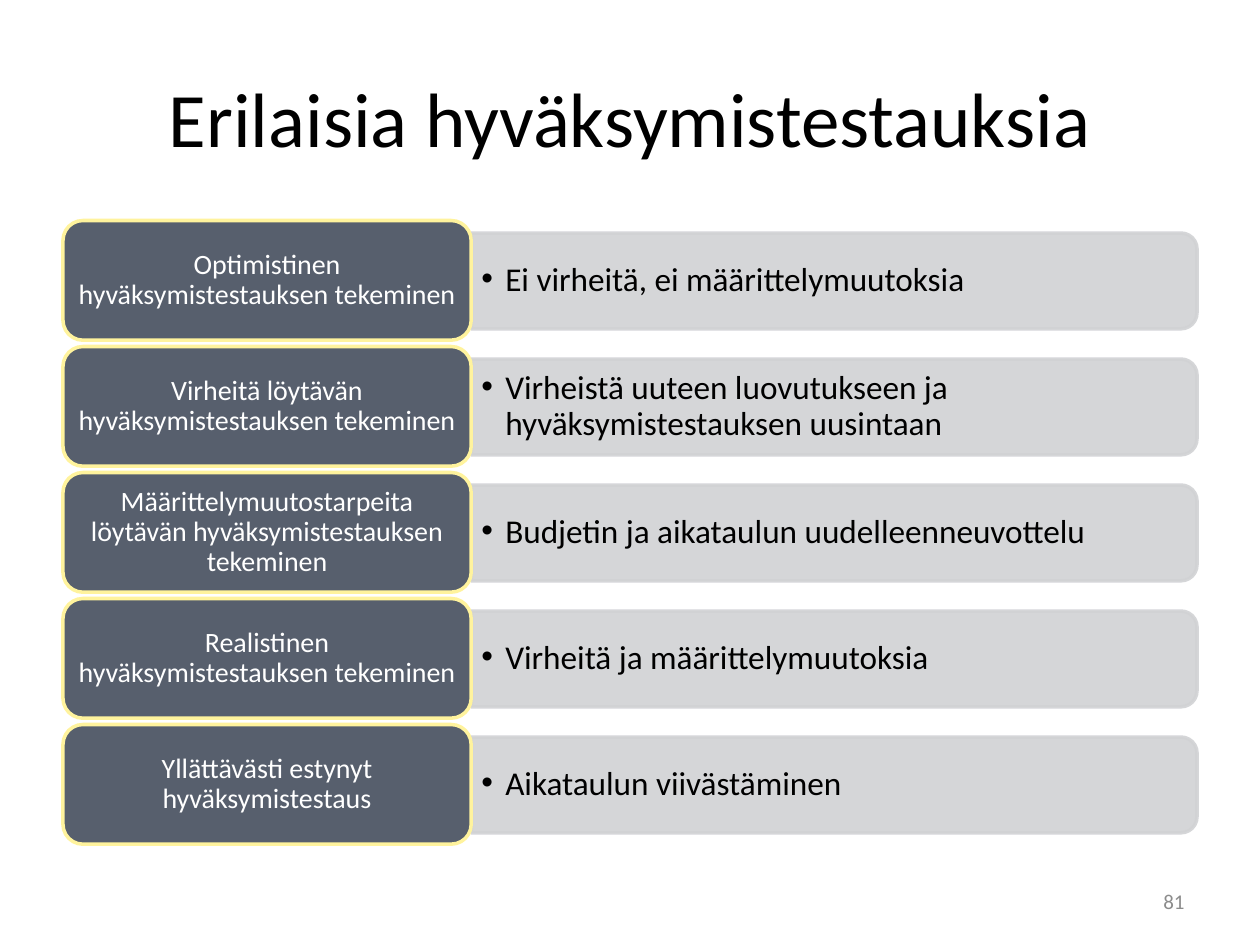
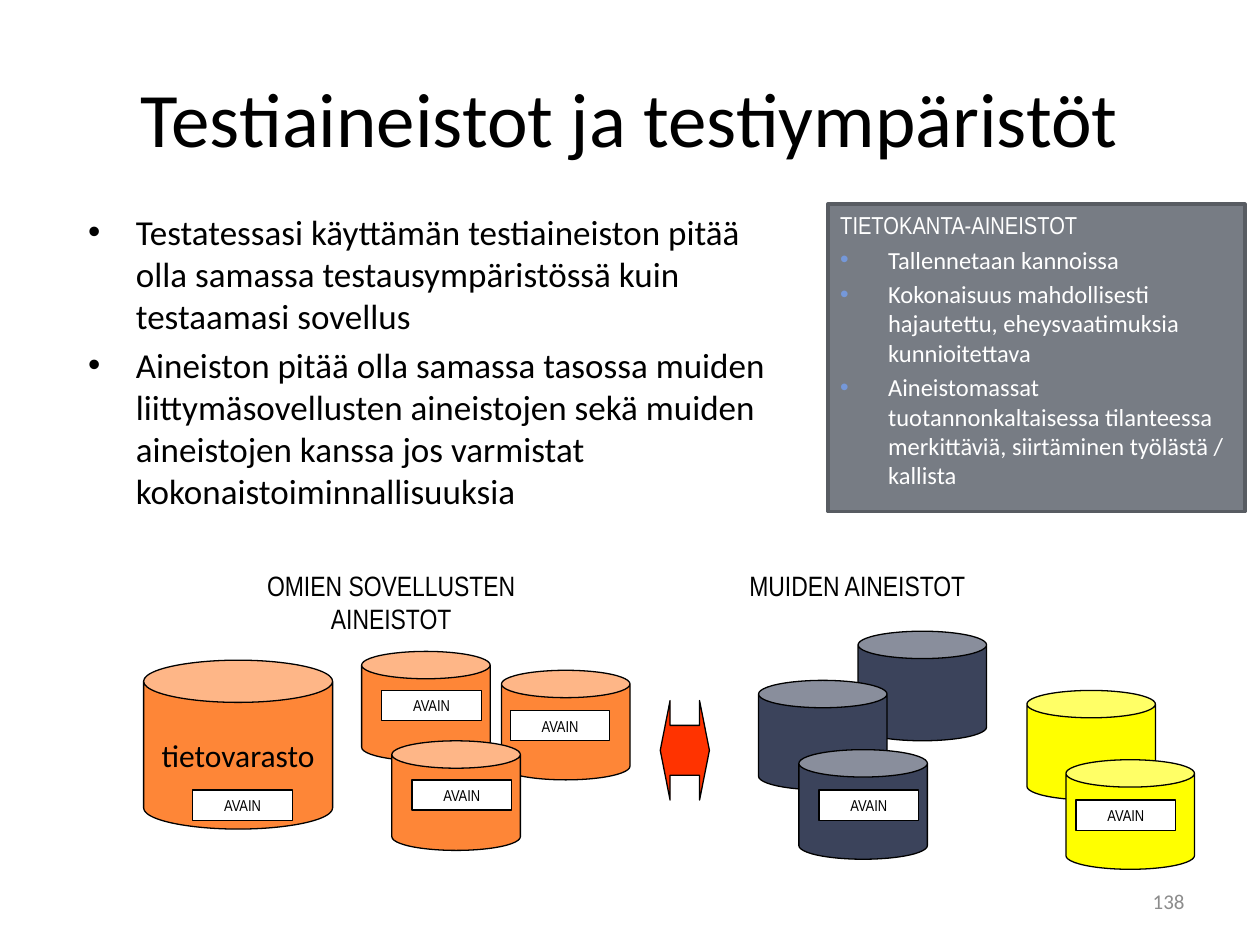
import pptx
import pptx.util
import pptx.dml.color
import pptx.enum.shapes
import pptx.enum.text
import pptx.oxml
import pptx.oxml.ns
import lxml.etree

PX = 9144
RGB = pptx.dml.color.RGBColor
BLACK = RGB(0x00, 0x00, 0x00)
WHITE = RGB(0xFF, 0xFF, 0xFF)
GREY = RGB(0x8C, 0x8C, 0x8C)
BAR = RGB(0xD1, 0xD2, 0xD4)
SLATE = RGB(0x57, 0x5F, 0x6D)
CREAM = RGB(0xFF, 0xF3, 0x9D)
NAVY = RGB(0x3B, 0x43, 0x5B)
ORANGE = RGB(0xFE, 0x86, 0x37)
YELLOW = RGB(0xFF, 0xFF, 0x00)
RED = RGB(0xFF, 0x33, 0x00)
PANEL = RGB(0x77, 0x7C, 0x84)
PANEL_EDGE = RGB(0x58, 0x5C, 0x62)
BLUE = RGB(0x75, 0x98, 0xD9)
SHAPE = pptx.enum.shapes.MSO_SHAPE
LEFT = pptx.enum.text.PP_ALIGN.LEFT
CENTER = pptx.enum.text.PP_ALIGN.CENTER
RIGHT = pptx.enum.text.PP_ALIGN.RIGHT
TOP = pptx.enum.text.MSO_ANCHOR.TOP
MIDDLE = pptx.enum.text.MSO_ANCHOR.MIDDLE
NARROW = "Arial Narrow"


def box(s, at, kind=None, fill=None, line=None, width=0.75, anchor=MIDDLE, wrap=True, inset=(10, 5)):
    at = [v * PX for v in at]
    if kind is None:
        sp = s.shapes.add_textbox(*at)
    else:
        sp = s.shapes.add_shape(kind, *at)
        sp.shadow.inherit = False
        sp.fill.solid()
        sp.fill.fore_color.rgb = fill
        sp.line.color.rgb = line
        sp.line.width = pptx.util.Pt(width)
    tf = sp.text_frame
    tf.word_wrap = wrap
    tf.vertical_anchor = anchor
    tf.margin_left = tf.margin_right = inset[0] * PX
    tf.margin_top = tf.margin_bottom = inset[1] * PX
    return sp


def write(sp, text, size=18, color=BLACK, font="Calibri", align=LEFT, indent=0,
          bullet=None, before=0, spacing=None):
    tf = sp.text_frame
    p = tf.paragraphs[0]
    if p.runs:
        p = tf.add_paragraph()
        p.space_before = pptx.util.Pt(before)
    p.alignment = align
    if spacing:
        p.line_spacing = spacing
    pPr = p._p.get_or_add_pPr()
    if indent:
        pPr.set("marL", str(indent * PX))
        pPr.set("indent", str(-indent * PX))
    if bullet:
        clr = pptx.oxml.ns.qn("a:buClr")
        buClr = lxml.etree.SubElement(pPr, clr)
        lxml.etree.SubElement(buClr, pptx.oxml.ns.qn("a:srgbClr"), val=str(bullet))
        lxml.etree.SubElement(pPr, pptx.oxml.ns.qn("a:buFont"), typeface="Arial")
        lxml.etree.SubElement(pPr, pptx.oxml.ns.qn("a:buChar"), char="•")
    r = p.add_run()
    r.text = text
    r.font.size = pptx.util.Pt(size)
    r.font.name = font
    r.font.color.rgb = color


prs = pptx.Presentation()
prs.slide_width = 1000 * PX
prs.slide_height = 750 * PX

slides = []
for title, number in [("Erilaisia hyväksymistestauksia", "81"),
                      ("Testiaineistot ja testiympäristöt", "138")]:
    s = prs.slides.add_slide(prs.slide_layouts[6])
    write(box(s, (50, 30, 900, 125)), title, size=44, align=CENTER)
    write(box(s, (717, 695, 233, 40)), number, size=12, color=GREY, align=RIGHT)
    slides.append(s)

s = slides[0]
tests = [
    ("Optimistinen hyväksymistestauksen tekeminen", "Ei virheitä, ei määrittelymuutoksia"),
    ("Virheitä löytävän hyväksymistestauksen tekeminen",
     "Virheistä uuteen luovutukseen ja hyväksymistestauksen uusintaan"),
    ("Määrittelymuutostarpeita löytävän hyväksymistestauksen tekeminen",
     "Budjetin ja aikataulun uudelleenneuvottelu"),
    ("Realistinen hyväksymistestauksen tekeminen", "Virheitä ja määrittelymuutoksia"),
    ("Yllättävästi estynyt hyväksymistestaus", "Aikataulun viivästäminen"),
]
for i, (test, outcome) in enumerate(tests):
    y = 175 + 100 * i
    bar = box(s, (624, y - 240, 76, 576), SHAPE.ROUND_2_SAME_RECTANGLE, BAR, BAR, 2)
    bar.rotation = 90
    for clr in bar._element.spPr.iter(pptx.oxml.ns.qn("a:srgbClr")):
        lxml.etree.SubElement(clr, pptx.oxml.ns.qn("a:alpha"), val="90000")
    write(box(s, (374, y + 13, 572, 69), inset=(8, 4)), outcome,
          size=19, indent=19, bullet=BLACK, spacing=0.9)
    label = box(s, (50, y, 324, 95), SHAPE.ROUNDED_RECTANGLE, SLATE, CREAM, 2, inset=(7, 3))
    write(label, test, size=16, color=WHITE, align=CENTER, spacing=0.9)

s = slides[1]
body = box(s, (60, 162, 582, 449), anchor=TOP)
for text in [
    "Testatessasi käyttämän testiaineiston pitää olla samassa testausympäristössä kuin testaamasi sovellus",
    "Aineiston pitää olla samassa tasossa muiden liittymäsovellusten aineistojen sekä muiden "
    "aineistojen kanssa jos varmistat kokonaistoiminnallisuuksia",
]:
    write(body, text, size=20, indent=38, bullet=BLACK, before=4)

store = box(s, (114, 524, 150, 134), SHAPE.CAN, ORANGE, BLACK, wrap=False)
write(store, "tietovarasto", align=CENTER)

databases = [
    (ORANGE, [(287, 517), (398, 532), (311, 588)]),
    (NAVY, [(681, 501), (602, 540), (634, 595)]),
    (YELLOW, [(815, 548), (846, 603)]),
]
for color, places in databases:
    for x, y in places:
        box(s, (x, y, 102, 87), SHAPE.CAN, color, BLACK)

for x, y in [(153, 627), (327, 619), (303, 548), (405, 564), (650, 627), (854, 635)]:
    key = box(s, (x, y, 79, 24), SHAPE.RECTANGLE, WHITE, BLACK, wrap=False)
    write(key, "AVAIN", size=9, font=NARROW, align=CENTER)

for x, h, text in [(153, 64, "OMIEN SOVELLUSTEN AINEISTOT"), (523, 37, "MUIDEN AINEISTOT")]:
    write(box(s, (x, 446, 315, h), anchor=TOP), text, size=16, font=NARROW, align=CENTER)

arrow = box(s, (524, 556, 39, 79), SHAPE.LEFT_RIGHT_ARROW, RED, BLACK)
arrow.adjustments[0] = 0.5
arrow.adjustments[1] = 0.2

panel = box(s, (657, 162, 331, 244), SHAPE.RECTANGLE, PANEL, PANEL_EDGE, 2, anchor=TOP)
write(panel, "TIETOKANTA-AINEISTOT", size=14, color=WHITE, font=NARROW, indent=38)
for text in [
    "Tallennetaan kannoissa",
    "Kokonaisuus mahdollisesti hajautettu, eheysvaatimuksia kunnioitettava",
    "Aineistomassat tuotannonkaltaisessa tilanteessa merkittäviä, siirtäminen työlästä / kallista",
]:
    write(panel, text, size=14, color=WHITE, indent=38, bullet=BLUE, before=2.8)

prs.save("out.pptx")
